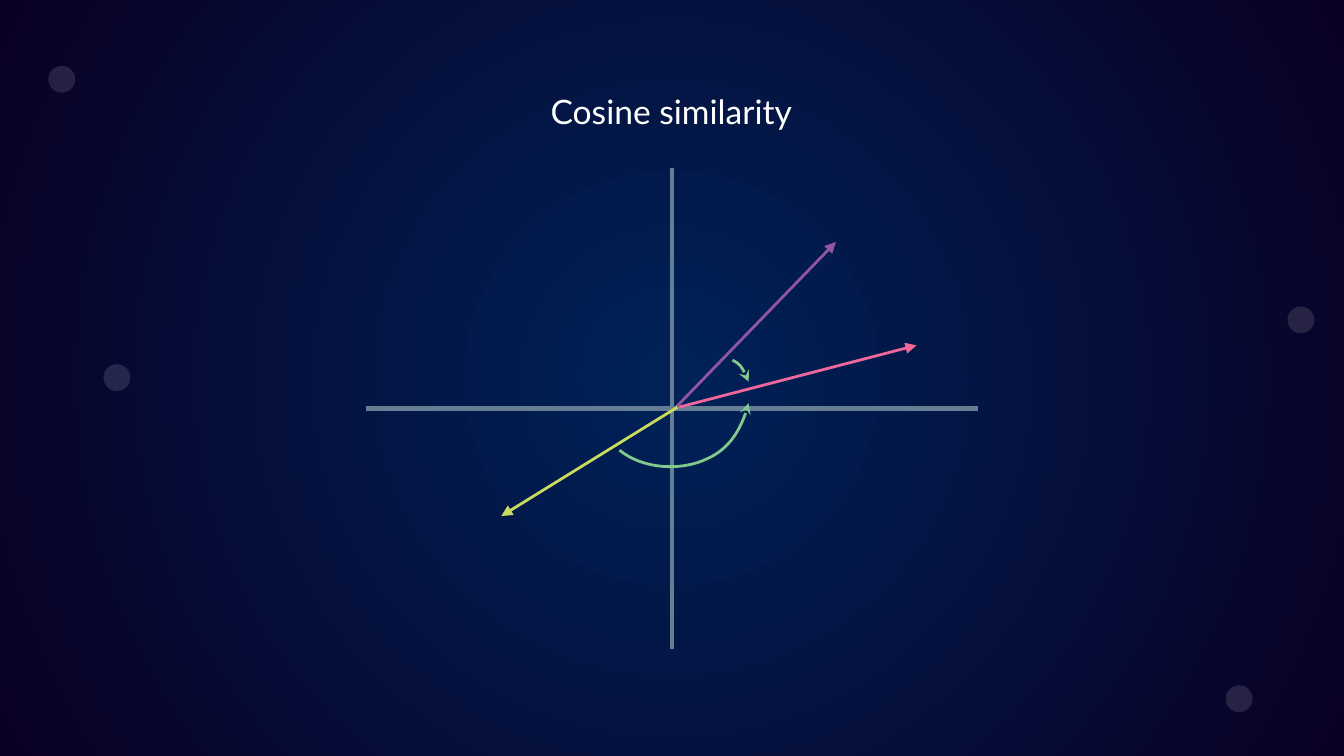
from lxml import etree
from pptx import Presentation
from pptx.dml.color import RGBColor
from pptx.enum.shapes import MSO_CONNECTOR, MSO_SHAPE
from pptx.enum.text import MSO_ANCHOR, MSO_AUTO_SIZE, PP_ALIGN
from pptx.oxml.ns import qn
from pptx.util import Inches, Pt

STRAIGHT = MSO_CONNECTOR.STRAIGHT
OVAL = MSO_SHAPE.OVAL
TOP = MSO_ANCHOR.TOP
NO_AUTOFIT = MSO_AUTO_SIZE.NONE
CENTER = PP_ALIGN.CENTER
TITLE_ONLY = 5

SLIDE_WIDTH = Inches(10)
SLIDE_HEIGHT = SLIDE_WIDTH * 9 // 16

NAVY = RGBColor(0x00, 0x22, 0x58)
MIDNIGHT = RGBColor(0x09, 0x00, 0x24)
WHITE = RGBColor(0xFF, 0xFF, 0xFF)
SLATE = RGBColor(0x65, 0x7E, 0x93)
PINK = RGBColor(0xEF, 0x67, 0x9B)
PURPLE = RGBColor(0x92, 0x55, 0xA1)
LIME = RGBColor(0xCA, 0xDA, 0x5E)
GREEN = RGBColor(0x83, 0xC8, 0x8D)

DOT_SIZE = 0.2
DOTS = [(0.77, 2.71), (0.36, 0.49), (9.12, 5.1), (9.58, 2.28)]
AXES = [((5, 1.25), (5, 4.83)), ((2.72, 3.04), (7.28, 3.04))]
VECTORS = [
    ((5.05, 3.03), (6.82, 2.57), PINK),
    ((5.03, 3.03), (6.22, 1.8), PURPLE),
    ((5.04, 3.03), (3.73, 3.84), LIME),
]
# Each arc is a start point followed by three Bezier points per segment.
ANGLE_ARCS = [
    [(4.61, 3.35), (4.78, 3.49), (5.07, 3.51), (5.27, 3.41),
     (5.42, 3.34), (5.53, 3.17), (5.57, 3)],
    [(5.45, 2.68), (5.51, 2.71), (5.55, 2.78), (5.57, 2.84)],
]


def set_attributes(target, values):
    for name, value in values.items():
        setattr(target, name, value)


def paint_background(page):
    """Fill the page with a gradient that spreads from its centre."""
    fill = page.background.fill
    fill.gradient()
    for stop, color in zip(fill.gradient_stops, (NAVY, MIDNIGHT)):
        stop.color.rgb = color
    gradient = page.background._cSld.find(".//" + qn("a:gradFill"))
    linear = gradient.find(qn("a:lin"))
    circle = etree.Element(qn("a:path"), path="circle")
    etree.SubElement(circle, qn("a:fillToRect"),
                     {side: "50000" for side in "ltrb"})
    gradient.replace(linear, circle)


def add_dot(page, left, top):
    dot = page.shapes.add_shape(OVAL, Inches(left), Inches(top),
                                Inches(DOT_SIZE), Inches(DOT_SIZE))
    dot.shadow.inherit = False
    dot.fill.solid()
    dot.fill.fore_color.rgb = WHITE
    dot.line.fill.background()
    color = dot._element.spPr.find(".//" + qn("a:srgbClr"))
    etree.SubElement(color, qn("a:alpha"), val="12000")


def add_title(page, text):
    title = page.shapes.title
    set_attributes(title, {"left": Inches(1.4), "top": Inches(0.58),
                           "width": Inches(7.19), "height": Inches(0.47)})
    frame = title.text_frame
    frame.text = text
    margins = {f"margin_{side}": Inches(0.1)
               for side in ("left", "top", "right", "bottom")}
    set_attributes(frame, {**margins, "word_wrap": True,
                           "auto_size": NO_AUTOFIT, "vertical_anchor": TOP})
    para = frame.paragraphs[0]
    para.alignment = CENTER
    span = para.runs[0]
    set_attributes(span.font, {"name": "Lato", "size": Pt(18), "bold": False})
    span.font.color.rgb = WHITE


def style_line(line, color, width, arrowhead=None):
    line.color.rgb = color
    line.width = Pt(width)
    if arrowhead:
        etree.SubElement(line._get_or_add_ln(), qn("a:tailEnd"), type=arrowhead)


def add_line(page, start, end, color, width, arrowhead=None):
    connector = page.shapes.add_connector(
        STRAIGHT, *(Inches(value) for value in (*start, *end)))
    style_line(connector.line, color, width, arrowhead)
    etree.SubElement(connector._element.spPr, qn("a:effectLst"))


def add_arc(page, points):
    """Draw an open Bezier curve by grouping the points in threes."""
    start, *others = [(Inches(x), Inches(y)) for x, y in points]
    builder = page.shapes.build_freeform(*start)
    builder.add_line_segments(others, close=False)
    arc = builder.convert_to_shape()
    outline = arc._element.spPr.find(".//" + qn("a:path"))
    segments = outline.findall(qn("a:lnTo"))
    for first in range(0, len(segments), 3):
        curve = etree.SubElement(outline, qn("a:cubicBezTo"))
        for segment in segments[first:first + 3]:
            curve.append(segment[0])
            outline.remove(segment)
    arc.shadow.inherit = False
    arc.fill.background()
    style_line(arc.line, GREEN, 1.5, "stealth")


def main():
    deck = Presentation()
    set_attributes(deck, {"slide_width": SLIDE_WIDTH,
                          "slide_height": SLIDE_HEIGHT})
    page = deck.slides.add_slide(deck.slide_layouts[TITLE_ONLY])
    paint_background(page)
    for left, top in DOTS:
        add_dot(page, left, top)
    add_title(page, "Cosine similarity")
    for start, end in AXES:
        add_line(page, start, end, SLATE, 2.25)
    for start, end, color in VECTORS:
        add_line(page, start, end, color, 1.5, "triangle")
    for points in ANGLE_ARCS:
        add_arc(page, points)
    deck.save("out.pptx")


if __name__ == "__main__":
    main()
